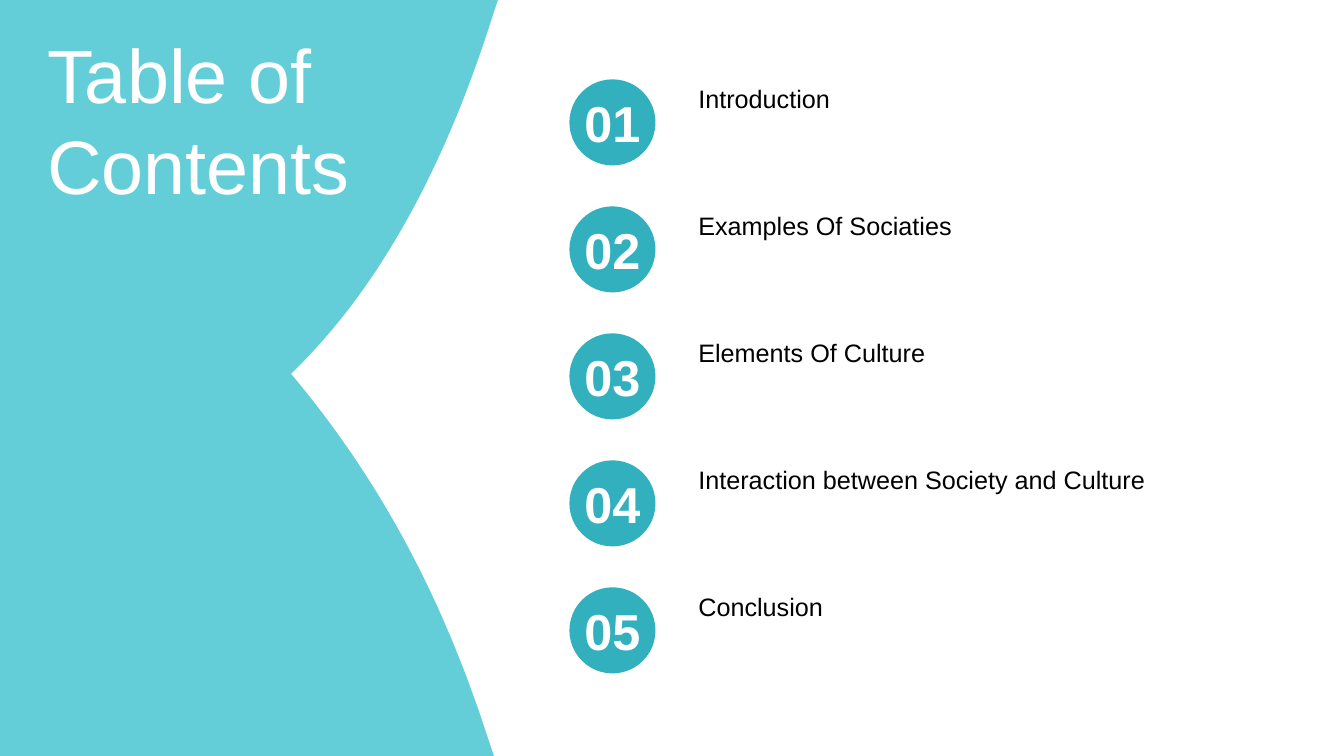
"""Build a table of contents slide with five numbered entries beside a curved panel."""
from dataclasses import dataclass

from pptx import Presentation
from pptx.dml.color import RGBColor
from pptx.enum.shapes import MSO_SHAPE
from pptx.enum.text import MSO_ANCHOR, PP_ALIGN
from pptx.util import Cm, Pt

OVAL = MSO_SHAPE.OVAL
TOP, MIDDLE = MSO_ANCHOR.TOP, MSO_ANCHOR.MIDDLE
LEFT, CENTER = PP_ALIGN.LEFT, PP_ALIGN.CENTER

TITLE = "Table of Contents"
ENTRIES = [
    "Introduction",
    "Examples Of Sociaties",
    "Elements Of Culture",
    "Interaction between Society and Culture",
    "Conclusion",
]

PAGE_WIDTH, PAGE_HEIGHT = 33.87, 19.05
PANEL_TOP = (12.55, 0)
PANEL_BOTTOM = (12.45, PAGE_HEIGHT)
LOWER_CURVE = [(12.29, 18.57), (11.15, 15.04), (9.58, 12.09), (7.34, 9.42)]
UPPER_CURVE = [(7.34, 9.42), (9.5, 7.34), (11.13, 4.37), (12.32, 0.71)]
CURVE_STEPS = 40

FIRST_ROW, ROW_STEP = 2.0, 3.2
CIRCLE_LEFT, CIRCLE_SIZE = 14.35, 2.17
NUMBER_WIDTH, NUMBER_HEIGHT = 2.67, 1.8
LABEL_LEFT, LABEL_WIDTH, LABEL_HEIGHT = 17.3, 14.22, 1.02


@dataclass(frozen=True)
class Theme:
    font: str = "Arial"
    panel: RGBColor = RGBColor(0x64, 0xCE, 0xD8)
    circle: RGBColor = RGBColor(0x32, 0xB0, 0xBE)
    light: RGBColor = RGBColor(0xFF, 0xFF, 0xFF)
    dark: RGBColor = RGBColor(0, 0, 0)
    title_size: int = 54
    number_size: int = 36
    label_size: int = 18


THEME = Theme()


def curve_points(controls):
    points = []
    for step in range(CURVE_STEPS + 1):
        t = step / CURVE_STEPS
        weights = ((1 - t) ** 3, 3 * t * (1 - t) ** 2, 3 * t * t * (1 - t), t ** 3)
        points.append(tuple(sum(w * c[axis] for w, c in zip(weights, controls)) for axis in (0, 1)))
    return points


def paint(shape, color):
    shape.shadow.inherit = False
    shape.fill.solid()
    shape.fill.fore_color.rgb = color
    shape.line.fill.background()


def add_text(page, text, place, size, color, bold=False, align=LEFT, anchor=TOP, inset=0.3):
    box = page.shapes.add_textbox(*(Cm(length) for length in place))
    frame = box.text_frame
    frame.word_wrap = True
    frame.vertical_anchor = anchor
    frame.margin_left = frame.margin_right = Cm(inset)
    para = frame.paragraphs[0]
    para.alignment = align
    span = para.add_run()
    span.text = text
    span.font.name = THEME.font
    span.font.size = Pt(size)
    span.font.bold = bold
    span.font.color.rgb = color
    return para


def add_white_area(page):
    corners = [(PAGE_WIDTH, 0), (PAGE_WIDTH, PAGE_HEIGHT), PANEL_BOTTOM]
    outline = corners + curve_points(LOWER_CURVE) + curve_points(UPPER_CURVE)[1:]
    builder = page.shapes.build_freeform(Cm(PANEL_TOP[0]), Cm(PANEL_TOP[1]))
    builder.add_line_segments([(Cm(x), Cm(y)) for x, y in outline], close=True)
    paint(builder.convert_to_shape(), THEME.light)


def add_entry(page, index, label):
    top = FIRST_ROW + index * ROW_STEP
    circle = page.shapes.add_shape(OVAL, Cm(CIRCLE_LEFT), Cm(top), Cm(CIRCLE_SIZE), Cm(CIRCLE_SIZE))
    paint(circle, THEME.circle)
    number_place = (
        CIRCLE_LEFT + (CIRCLE_SIZE - NUMBER_WIDTH) / 2,
        top + (CIRCLE_SIZE - NUMBER_HEIGHT) / 2,
        NUMBER_WIDTH,
        NUMBER_HEIGHT,
    )
    add_text(page, f"{index + 1:02}", number_place, THEME.number_size, THEME.light, True, CENTER)
    label_place = (LABEL_LEFT, top - 0.02, LABEL_WIDTH, LABEL_HEIGHT)
    add_text(page, label, label_place, THEME.label_size, THEME.dark)


def main():
    deck = Presentation()
    deck.slide_width, deck.slide_height = Cm(PAGE_WIDTH), Cm(PAGE_HEIGHT)
    page = deck.slides.add_slide(deck.slide_layouts[6])
    page.background.fill.solid()
    page.background.fill.fore_color.rgb = THEME.panel
    add_white_area(page)
    title_place = (0.94, 0.56, 9.7, 4.88)
    add_text(page, TITLE, title_place, THEME.title_size, THEME.light, anchor=MIDDLE, inset=0.25)
    for index, label in enumerate(ENTRIES):
        add_entry(page, index, label)
    deck.save("out.pptx")


if __name__ == "__main__":
    main()
